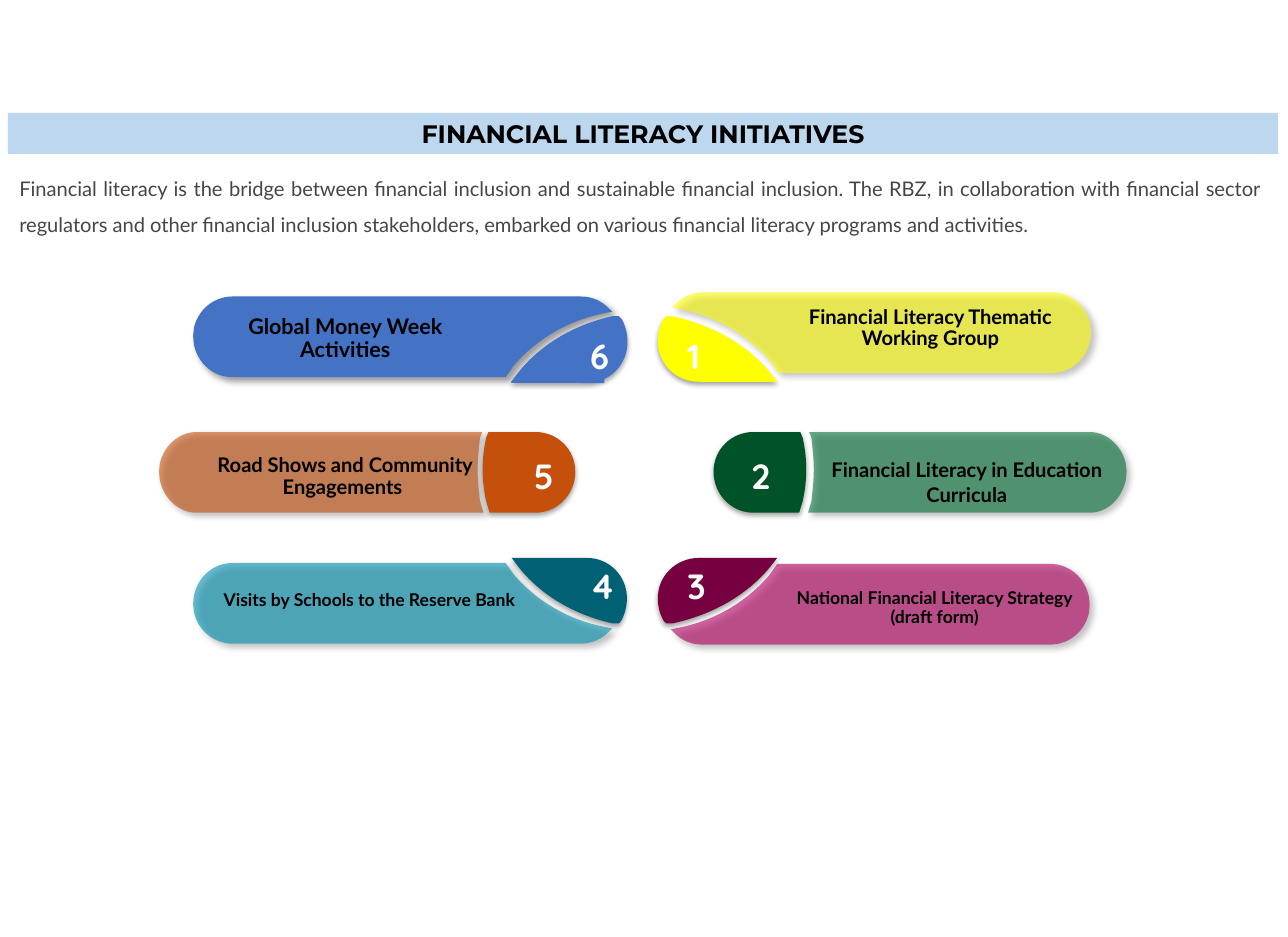
from lxml import etree
from pptx import Presentation
from pptx.dml.color import RGBColor
from pptx.enum.shapes import MSO_SHAPE
from pptx.enum.text import MSO_ANCHOR, MSO_AUTO_SIZE, PP_ALIGN
from pptx.oxml.ns import qn
from pptx.util import Cm, Pt

CENTER, JUSTIFY, LEFT = PP_ALIGN.CENTER, PP_ALIGN.JUSTIFY, PP_ALIGN.LEFT
RECTANGLE = MSO_SHAPE.RECTANGLE
TOP, MIDDLE = MSO_ANCHOR.TOP, MSO_ANCHOR.MIDDLE
GROW, FIXED = MSO_AUTO_SIZE.SHAPE_TO_FIT_TEXT, MSO_AUTO_SIZE.NONE

BLACK = RGBColor(0x00, 0x00, 0x00)
WHITE = RGBColor(0xFF, 0xFF, 0xFF)
GRAY = RGBColor(0x46, 0x46, 0x46)
PALE_BLUE = RGBColor(0xBD, 0xD7, 0xEE)
BLUE = RGBColor(0x44, 0x72, 0xC4)
YELLOW = RGBColor(0xFF, 0xFF, 0x00)
ORANGE = RGBColor(0xC4, 0x50, 0x0B)
TEAL = RGBColor(0x00, 0x90, 0xAE)
DARK_TEAL = RGBColor(0x00, 0x60, 0x74)
PINK = RGBColor(0xB2, 0x00, 0x60)
DARK_PINK = RGBColor(0x76, 0x00, 0x40)
GREEN = RGBColor(0x00, 0x70, 0x36)
DARK_GREEN = RGBColor(0x00, 0x52, 0x27)

# Outlines of the left-hand shapes: two numbers are a corner, six a Bezier curve.
CORNER_PILL = [
    (34, 0), (331, 0), (341, 0, 349, 4, 355, 10), (358, 13), (353, 14),
    (321, 20, 294, 36, 274, 59), (267, 69), (34, 69),
    (17, 69, 4, 57, 0.7, 41), (0, 34), (0.7, 27), (4, 12, 17, 0, 34, 0)]
CORNER_CAP = [
    (91, 0), (93, 2), (96, 7, 98, 14, 98, 21), (98, 40, 83, 55, 64, 55),
    (0, 55), (7, 46), (26, 23, 54, 7, 86, 0)]
MIDDLE_PILL = [
    (32, 0), (276, 0), (274, 5), (273, 14, 272, 23, 272, 32),
    (272, 41, 273, 50, 274, 59), (277, 69), (32, 69),
    (17, 69, 4, 57, 0.7, 41), (0, 34), (0.7, 27), (4, 12, 17, 0, 32, 0)]
MIDDLE_CAP = [
    (5, 0), (45, 0), (64, 0, 79, 15, 79, 34), (79, 53, 64, 69, 45, 69),
    (6, 69), (3, 59), (1, 50, 0, 41, 0, 32), (0, 23, 1, 14, 3, 5)]

# Shadow: opacity %, blur pt, distance pt, angle
PILL_SHADOW = (40, 4, 3, 45)
CAP_SHADOW = (35, 3.1, 1.8, 90)

# text, text size, line spacing, label box, outline, pill box, colour, opacity %, flip x, flip y
PILLS = [
    ("Global Money Week Activities", 13.2, 0.9, (4.52, 6.73, 5.94, 1.27),
     CORNER_PILL, (4.19, 6.43, 9.09, 1.75), BLUE, 100, False, False),
    ("Financial Literacy Thematic Working Group", 12.4, 0.9, (16.69, 6.53, 6.99, 1.22),
     CORNER_PILL, (14.58, 6.34, 9.09, 1.75), YELLOW, 58, True, False),
    ("Road Shows and Community Engagements ", 12.4, 0.9, (4.17, 9.75, 6.63, 1.22),
     MIDDLE_PILL, (3.45, 9.37, 7.04, 1.75), ORANGE, 60, False, False),
    ("Visits by Schools to the Reserve Bank", 10.8, 0.9, (4.52, 12.71, 6.99, 1.09),
     CORNER_PILL, (4.19, 12.21, 9.09, 1.75), TEAL, 60, False, True),
    ("National Financial Literacy Strategy (draft form)", 10.8, 0.9, (16.78, 12.65, 6.99, 1.09),
     CORNER_PILL, (14.55, 12.23, 9.09, 1.75), PINK, 60, True, True),
    ("Financial Literacy in Education Curricula", 12.4, 1.07, (17.71, 9.75, 6.53, 1.35),
     MIDDLE_PILL, (17.53, 9.37, 6.91, 1.75), GREEN, 59, True, False),
]

# number, digit position, outline, cap box, colour, flip x, flip y
CAPS = [
    ("6", (12.55, 7.14), CORNER_CAP, (11.1, 6.87, 2.5, 1.42), BLUE, False, False),
    ("1", (14.66, 7.14), CORNER_CAP, (14.27, 6.86, 2.59, 1.42), YELLOW, True, False),
    ("2", (16.05, 9.73), MIDDLE_CAP, (15.48, 9.37, 2.01, 1.75), DARK_GREEN, True, False),
    ("3", (14.66, 12.12), CORNER_CAP, (14.27, 12.1, 2.59, 1.42), DARK_PINK, True, True),
    ("5", (11.33, 9.73), MIDDLE_CAP, (10.47, 9.37, 2.01, 1.75), ORANGE, False, False),
    ("4", (12.55, 12.12), CORNER_CAP, (11.1, 12.1, 2.5, 1.42), DARK_TEAL, False, True),
]

presentation = Presentation()
presentation.slide_width, presentation.slide_height = Cm(27.94), Cm(20.32)
slide = presentation.slides.add_slide(presentation.slide_layouts[6])


def add_outline(outline, box, flip_x, flip_y, color, opacity, shadow):
    """Fit an outline into a box (cm), mirrored if asked, with fill and shadow."""
    left, top, width, height = box
    x_extent = max(segment[-2] for segment in outline)
    y_extent = max(segment[-1] for segment in outline)
    placed = []
    for segment in outline:
        points = []
        for x, y in zip(segment[::2], segment[1::2]):
            across, down = x / x_extent, y / y_extent
            across = 1 - across if flip_x else across
            down = 1 - down if flip_y else down
            points.append((Cm(left + width * across), Cm(top + height * down)))
        placed.append(points)
    ends = [points[-1] for points in placed]
    builder = slide.shapes.build_freeform(*ends[0], scale=1.0)
    builder.add_line_segments(ends[1:], close=True)
    shape = builder.convert_to_shape()

    steps = list(shape._element.spPr.find(".//" + qn("a:path")))
    for step, points in zip(steps, placed):
        if len(points) == 3:
            curve = etree.Element(qn("a:cubicBezTo"))
            for x, y in points:
                etree.SubElement(curve, qn("a:pt"), x=str(x - shape.left), y=str(y - shape.top))
            step.getparent().replace(step, curve)

    shape.fill.solid()
    shape.fill.fore_color.rgb = color
    shape.line.fill.background()
    if opacity < 100:
        fill_color = shape._element.spPr.find(".//" + qn("a:srgbClr"))
        etree.SubElement(fill_color, qn("a:alpha"), val=str(opacity * 1000))
    shape.shadow.inherit = False
    strength, blur, distance, angle = shadow
    outer = etree.SubElement(
        shape._element.spPr.find(qn("a:effectLst")), qn("a:outerShdw"),
        blurRad=str(Pt(blur)), dist=str(Pt(distance)), dir=str(angle * 60000),
        algn="ctr", rotWithShape="0")
    shadow_color = etree.SubElement(outer, qn("a:srgbClr"), val=str(BLACK))
    etree.SubElement(shadow_color, qn("a:alpha"), val=str(strength * 1000))
    return shape


def add_text(text, box, font_name, size, color, bold=True, align=CENTER, spacing=1.0, fill=None):
    """Add a text box, or a filled rectangle with text where a fill is given."""
    lengths = [Cm(length) for length in box]
    if fill is None:
        shape = slide.shapes.add_textbox(*lengths)
    else:
        shape = slide.shapes.add_shape(RECTANGLE, *lengths)
        shape.shadow.inherit = False
        shape.fill.solid()
        shape.fill.fore_color.rgb = fill
        shape.line.fill.background()
    frame = shape.text_frame
    frame.word_wrap = True
    frame.auto_size = GROW
    frame.vertical_anchor = TOP
    paragraph = frame.paragraphs[0]
    paragraph.text = text
    paragraph.alignment = align
    paragraph.line_spacing = spacing
    paragraph.font.name = font_name
    paragraph.font.size = Pt(size)
    paragraph.font.bold = bold
    paragraph.font.color.rgb = color
    return shape


title = add_text("FINANCIAL LITERACY INITIATIVES", (0.17, 2.45, 27.56, 0.89),
                 "Montserrat", 15.5, BLACK, fill=PALE_BLUE)
title_frame = title.text_frame
title_frame.auto_size = FIXED
title_frame.vertical_anchor = MIDDLE
title_frame.margin_top = title_frame.margin_bottom = Cm(0.1)
title_frame.margin_left = title_frame.margin_right = Cm(0.2)
title_frame.paragraphs[0].space_after = Pt(2.1)

for text, size, spacing, label_box, outline, box, color, opacity, flip_x, flip_y in PILLS:
    add_outline(outline, box, flip_x, flip_y, color, opacity, PILL_SHADOW)
    add_text(text, label_box, "Lato", size, BLACK, spacing=spacing,
             fill=BLUE if color == BLUE else None)

for number, position, outline, box, color, flip_x, flip_y in CAPS:
    cap = add_outline(outline, box, flip_x, flip_y, color, 100, CAP_SHADOW)
    if color == BLUE:
        cap.line.color.rgb = BLUE
        cap.line.width = Pt(0.75)
    add_text(number, (*position, 0.56, 1.17), "Quicksand", 21.5, WHITE, align=LEFT,
             fill=BLUE if color == BLUE else None)

introduction = add_text(
    "Financial literacy is the bridge between financial inclusion and sustainable "
    "financial inclusion. The RBZ, in collaboration with financial sector regulators "
    "and other financial inclusion stakeholders, embarked on various financial "
    "literacy programs and activities. ",
    (0.17, 3.44, 27.46, 1.73), "Lato", 12.4, GRAY, bold=False, align=JUSTIFY, spacing=1.5)
introduction.text_frame.paragraphs[0].space_after = Pt(6.2)

presentation.save("out.pptx")
